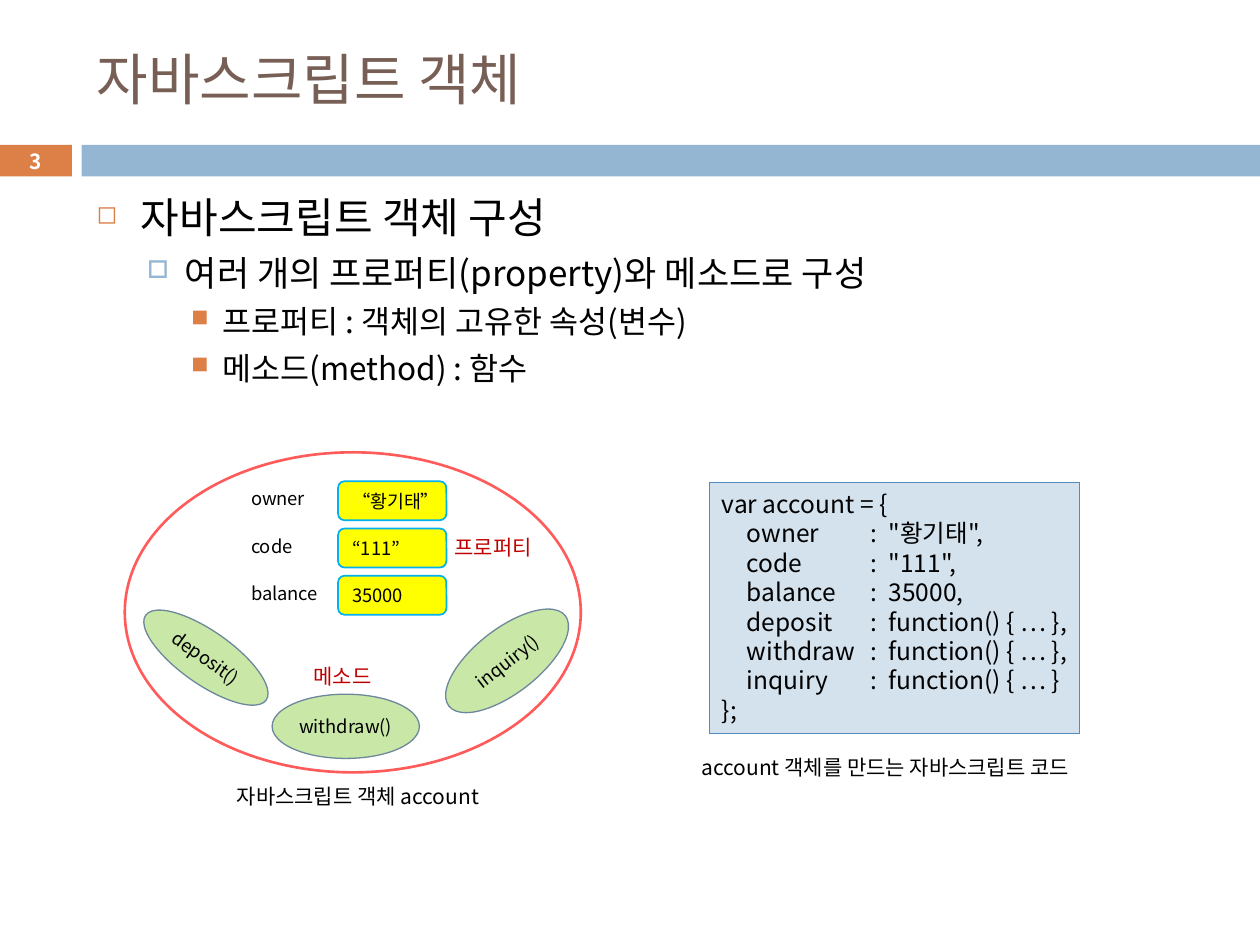
from pptx import Presentation
from pptx import util as u
from pptx.dml.color import RGBColor
from pptx.enum import shapes, text
from pptx.oxml import ns
from lxml import etree

BLACK = RGBColor(0, 0, 0)
WHITE = RGBColor(255, 255, 255)
BROWN = RGBColor(0x77, 0x5F, 0x55)
ORANGE = RGBColor(0xDD, 0x80, 0x47)
BLUE = RGBColor(0x94, 0xB6, 0xD2)
PALE_BLUE = RGBColor(0xD4, 0xE2, 0xED)
STEEL = RGBColor(0x55, 0x8B, 0xB8)
GREEN = RGBColor(0xC9, 0xE7, 0xA7)
SLATE = RGBColor(0x6D, 0x87, 0x9B)
CORAL = RGBColor(0xFF, 0x5B, 0x5B)
RED = RGBColor(0xC0, 0, 0)
YELLOW = RGBColor(255, 255, 0)
CYAN = RGBColor(0, 0xB0, 0xF0)

SHAPE = shapes.MSO_SHAPE
TOP = text.MSO_ANCHOR.TOP
MIDDLE = text.MSO_ANCHOR.MIDDLE
LEFT = text.PP_ALIGN.LEFT
CENTER = text.PP_ALIGN.CENTER


class SlideWriter:
    font = "Noto Sans CJK KR"
    leading = 1.2

    def __init__(self, page):
        self.page = page

    def add_node(self, parent, tag, **values):
        return etree.SubElement(parent, ns.qn("a:" + tag), values)

    def paragraph(self, para, words, size, color=BLACK, align=LEFT, bold=False):
        para.alignment = align
        para.line_spacing = u.Pt(round(size * self.leading, 2))
        span = para.add_run()
        span.text = words
        span.font.name = self.font
        span.font.size = u.Pt(size)
        span.font.bold = bold
        span.font.color.rgb = color
        self.add_node(span.font._element, "ea", typeface=self.font)

    def bullet(self, para, level, symbol, color, percent, left, hanging, before):
        para.level = level
        para.space_before = u.Pt(before)
        props = para._p.get_or_add_pPr()
        props.set("marL", str(u.Pt(left)))
        props.set("indent", str(-u.Pt(hanging)))
        shade = self.add_node(props, "buClr")
        self.add_node(shade, "srgbClr", val=str(color))
        self.add_node(props, "buSzPct", val=str(percent * 1000))
        self.add_node(props, "buChar", char=symbol)

    def tabs(self, para, stops):
        tab_list = self.add_node(para._p.get_or_add_pPr(), "tabLst")
        for stop in stops:
            self.add_node(tab_list, "tab", pos=str(u.Pt(stop)), algn="l")

    def frame(self, box, anchor=TOP, wrap=False):
        frame = box.text_frame
        frame.word_wrap = wrap
        frame.vertical_anchor = anchor
        return frame

    def text_box(self, place, words, size, color=BLACK, anchor=TOP, wrap=False):
        box = self.page.shapes.add_textbox(*map(u.Pt, place))
        frame = self.frame(box, anchor, wrap)
        self.paragraph(frame.paragraphs[0], words, size, color)

    def shape(self, kind, place, fill=None, line=None, weight=0.75, turn=0):
        box = self.page.shapes.add_shape(kind, *map(u.Pt, place))
        box.shadow.inherit = False
        box.rotation = turn
        if fill is None:
            box.fill.background()
        else:
            box.fill.solid()
            box.fill.fore_color.rgb = fill
        if line is None:
            box.line.fill.background()
        else:
            box.line.color.rgb = line
            box.line.width = u.Pt(weight)
        return box

    def label(self, box, words, size=10.5, color=BLACK, align=CENTER, bold=False):
        frame = self.frame(box, MIDDLE)
        self.paragraph(frame.paragraphs[0], words, size, color, align, bold)

    def outline(self, place, items):
        box = self.page.shapes.add_textbox(*map(u.Pt, place))
        frame = self.frame(box, wrap=True)
        for index, (words, size, *marker) in enumerate(items):
            para = frame.add_paragraph() if index else frame.paragraphs[0]
            self.paragraph(para, words, size)
            self.bullet(para, *marker)

    def code(self, place, lines, stops):
        box = self.shape(SHAPE.RECTANGLE, place, PALE_BLUE, STEEL)
        frame = self.frame(box)
        for index, words in enumerate(lines):
            para = frame.add_paragraph() if index else frame.paragraphs[0]
            self.paragraph(para, words, 14)
            self.tabs(para, stops)


def main():
    deck = Presentation()
    deck.slide_width, deck.slide_height = u.Pt(720), u.Pt(540)
    writer = SlideWriter(deck.slides.add_slide(deck.slide_layouts[6]))

    number = writer.shape(SHAPE.RECTANGLE, (-0.7, 82.8, 41.8, 18), ORANGE)
    writer.label(number, "3", 11.9, WHITE, bold=True)
    writer.shape(SHAPE.RECTANGLE, (46.6, 82.8, 673.4, 18), BLUE)
    writer.text_box((48.2, 18, 642, 53.3), "자바스크립트 객체", 32, BROWN, MIDDLE, True)

    detail = (2, "■", ORANGE, 75, 72, 18, 5)
    writer.outline((48.2, 105.8, 642, 396.7), [
        ("자바스크립트 객체 구성", 24, 0, "◻", ORANGE, 60, 25.2, 25.2, 7),
        ("여러 개의 프로퍼티(property)와 메소드로 구성", 20,
         1, "□", BLUE, 70, 50.4, 21.6, 5.5),
        ("프로퍼티 : 객체의 고유한 속성(변수)", 18, *detail),
        ("메소드(method) : 함수", 18, *detail),
    ])

    members = [
        ("owner", '"황기태",'),
        ("code", '"111",'),
        ("balance", "35000,"),
        ("deposit", "function() { … },"),
        ("withdraw", "function() { … },"),
        ("inquiry", "function() { … }"),
    ]
    body = [f"\t{name}\t:  {value}" for name, value in members]
    writer.code((405.4, 275.8, 211.7, 143.3),
                ["var account = {", *body, "};"], (14.2, 85.2))

    methods = [
        ("deposit()", (75.6, 360.7, 84.2, 30.2), 35.1),
        ("withdraw()", (155.5, 396.7, 84.2, 36.7), 0),
        ("inquiry()", (247.7, 359.3, 84.2, 36.7), 322.2),
    ]
    for name, place, turn in methods:
        writer.label(writer.shape(SHAPE.OVAL, place, GREEN, SLATE, turn=turn), name)
    writer.shape(SHAPE.OVAL, (71.3, 258.5, 260.6, 182.9), line=CORAL, weight=1.5)

    properties = [("owner", "“황기태”"), ("code", "“111”"), ("balance", "35000")]
    for row, (name, value) in enumerate(properties):
        top = 275 + row * 27
        writer.text_box((136.4, top, 60, 22.3), name, 10.5, wrap=True)
        box = writer.shape(SHAPE.ROUNDED_RECTANGLE, (193.2, top, 61.9, 22.3),
                           YELLOW, CYAN, 1)
        writer.label(box, value, align=LEFT)

    writer.text_box((252.7, 301.7, 63.4, 21.6), "프로퍼티", 12, RED)
    writer.text_box((172.1, 375.8, 51.1, 21.6), "메소드", 12, RED)
    writer.text_box((128.2, 444.2, 163.4, 21.6), "자바스크립트 객체 account", 12)
    writer.text_box((393.8, 427.7, 249.1, 21.6), "account 객체를 만드는 자바스크립트 코드", 12)

    deck.save("out.pptx")


if __name__ == "__main__":
    main()
